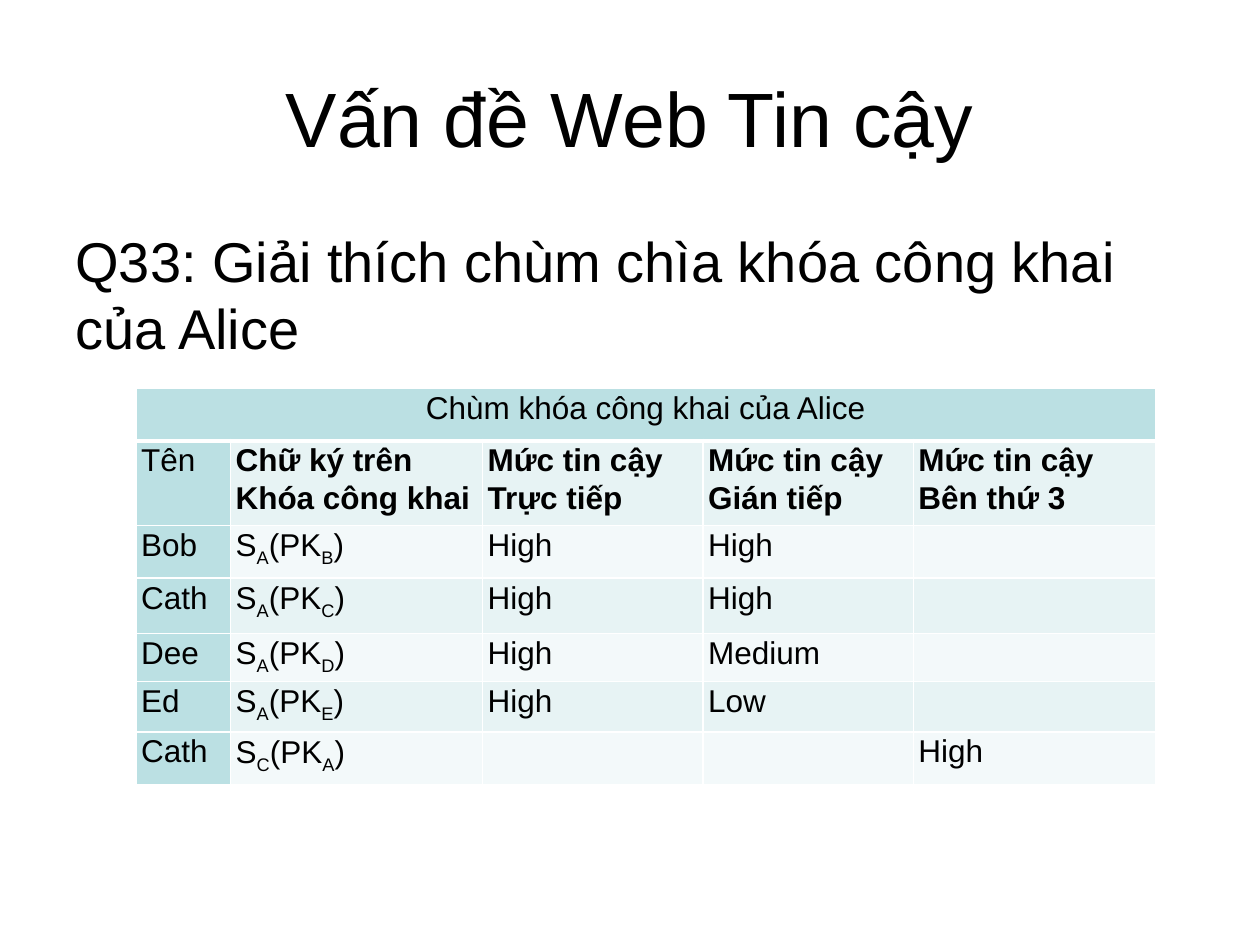
from dataclasses import dataclass

import pptx
import pptx.dml.color
import pptx.enum.text
import pptx.oxml
import pptx.oxml.ns
import pptx.util

ALIGN = pptx.enum.text.PP_ALIGN
ANCHOR = pptx.enum.text.MSO_ANCHOR
SLIDE_WIDTH = pptx.util.Inches(10)
SLIDE_HEIGHT = pptx.util.Inches(7.5)


@dataclass(frozen=True)
class Theme:
    font: str = "Arial"
    text: str = "000000"
    accent: str = "BBE0E3"
    bands: tuple[str, str] = ("E7F3F4", "F3F9FA")
    border: str = "FFFFFF"
    title_size: float = 44
    body_size: float = 32
    table_size: float = 18
    table_spacing: float = 1.07


THEME = Theme()


@dataclass(frozen=True)
class Run:
    text: str
    bold: bool = False
    subscript: bool = False


@dataclass(frozen=True)
class TextBlock:
    """A text box placed in shares of the slide's size."""
    text: str
    left: float
    top: float
    width: float
    height: float
    size: float
    align: ALIGN
    anchor: ANCHOR
    space_before: float = 0


@dataclass(frozen=True)
class KeyEntry:
    """One row of the key ring: the signer signs the owner's public key."""
    name: str
    signer: str
    owner: str
    direct: str = ""
    indirect: str = ""
    third_party: str = ""


BLOCKS = (
    TextBlock("Vấn đề Web Tin cậy", 0.05, 0.04, 0.9, 1 / 6,
              THEME.title_size, ALIGN.CENTER, ANCHOR.MIDDLE),
    TextBlock("Q33: Giải thích chùm chìa khóa công khai của Alice",
              0.05, 7 / 30, 0.9, 0.66, THEME.body_size, ALIGN.LEFT,
              ANCHOR.TOP, space_before=6.4),
)

# Key ring table
TABLE_LEFT, TABLE_TOP = 1.08, 3.08
COLUMN_WIDTHS = (0.75, 2, 1.75, 1.67, 1.92)
ROW_HEIGHTS = (0.42, 0.67, 0.42, 0.44, 0.38, 0.4, 0.42)
CAPTION = "Chùm khóa công khai của Alice"
HEADINGS = (
    ("Tên",),
    ("Chữ ký trên Khóa công khai",),
    ("Mức tin cậy Trực tiếp",),
    ("Mức tin cậy Gián tiếp",),
    ("Mức tin cậy", "Bên thứ 3"),
)
ENTRIES = (
    KeyEntry("Bob", "A", "B", "High", "High"),
    KeyEntry("Cath", "A", "C", "High", "High"),
    KeyEntry("Dee", "A", "D", "High", "Medium"),
    KeyEntry("Ed", "A", "E", "High", "Low"),
    KeyEntry("Cath", "C", "A", third_party="High"),
)


def add_run(paragraph, content: Run, size: float) -> None:
    run = paragraph.add_run()
    run.text = content.text
    run.font.name = THEME.font
    run.font.size = pptx.util.Pt(size)
    run.font.bold = content.bold
    run.font.color.rgb = pptx.dml.color.RGBColor.from_string(THEME.text)
    if content.subscript:
        run.font._element.set("baseline", "-25000")


def add_text_block(slide, block: TextBlock) -> None:
    shape = slide.shapes.add_textbox(
        round(block.left * SLIDE_WIDTH), round(block.top * SLIDE_HEIGHT),
        round(block.width * SLIDE_WIDTH), round(block.height * SLIDE_HEIGHT))
    frame = shape.text_frame
    frame.word_wrap = True
    frame.vertical_anchor = block.anchor
    paragraph = frame.paragraphs[0]
    paragraph.alignment = block.align
    paragraph.space_before = pptx.util.Pt(block.space_before)
    add_run(paragraph, Run(block.text), block.size)


def set_borders(cell, bottom: float = 1) -> None:
    properties = cell._tc.get_or_add_tcPr()
    for side, width in (("L", 1), ("R", 1), ("T", 1), ("B", bottom)):
        properties.append(pptx.oxml.parse_xml(
            f'<a:ln{side} {pptx.oxml.ns.nsdecls("a")} w="{pptx.util.Pt(width)}">'
            f'<a:solidFill><a:srgbClr val="{THEME.border}"/></a:solidFill>'
            f'</a:ln{side}>'))


def fill_cell(cell, paragraphs: list[list[Run]], color: str,
              align: ALIGN = ALIGN.LEFT, bottom: float = 1) -> None:
    cell.margin_left = cell.margin_right = pptx.util.Inches(0.04)
    cell.margin_top = cell.margin_bottom = 0
    set_borders(cell, bottom)
    cell.fill.solid()
    cell.fill.fore_color.rgb = pptx.dml.color.RGBColor.from_string(color)
    frame = cell.text_frame
    for index, runs in enumerate(paragraphs):
        paragraph = frame.add_paragraph() if index else frame.paragraphs[0]
        paragraph.alignment = align
        paragraph.line_spacing = THEME.table_spacing
        for content in runs:
            add_run(paragraph, content, THEME.table_size)


def signature(entry: KeyEntry) -> list[Run]:
    return [Run("S"), Run(entry.signer, subscript=True), Run("(PK"),
            Run(entry.owner, subscript=True), Run(")")]


def entry_cells(entry: KeyEntry) -> list[list[list[Run]]]:
    levels = (entry.direct, entry.indirect, entry.third_party)
    return [[[Run(entry.name)]], [signature(entry)],
            *([[Run(level)]] if level else [] for level in levels)]


def add_key_ring(slide) -> None:
    table = slide.shapes.add_table(
        len(ROW_HEIGHTS), len(COLUMN_WIDTHS),
        pptx.util.Inches(TABLE_LEFT), pptx.util.Inches(TABLE_TOP),
        pptx.util.Inches(sum(COLUMN_WIDTHS)),
        pptx.util.Inches(sum(ROW_HEIGHTS))).table
    for column, width in zip(table.columns, COLUMN_WIDTHS):
        column.width = pptx.util.Inches(width)
    for row, height in zip(table.rows, ROW_HEIGHTS):
        row.height = pptx.util.Inches(height)

    # Caption across all columns
    table.cell(0, 0).merge(table.cell(0, len(COLUMN_WIDTHS) - 1))
    for index, cell in enumerate(table.rows[0].cells):
        fill_cell(cell, [] if index else [[Run(CAPTION)]], THEME.accent,
                  ALIGN.CENTER, bottom=3)

    # Headings and entries, in alternating bands beside the name column
    headings = [[[Run(line, bold=index > 0)] for line in lines]
                for index, lines in enumerate(HEADINGS)]
    rows = [headings, *map(entry_cells, ENTRIES)]
    for row_index, contents in enumerate(rows):
        for column_index, paragraphs in enumerate(contents):
            color = THEME.bands[row_index % 2] if column_index else THEME.accent
            fill_cell(table.cell(row_index + 1, column_index), paragraphs, color)


def main() -> None:
    presentation = pptx.Presentation()
    presentation.slide_width = SLIDE_WIDTH
    presentation.slide_height = SLIDE_HEIGHT
    slide = presentation.slides.add_slide(presentation.slide_layouts[6])
    for block in BLOCKS:
        add_text_block(slide, block)
    add_key_ring(slide)
    presentation.save("out.pptx")


if __name__ == "__main__":
    main()
